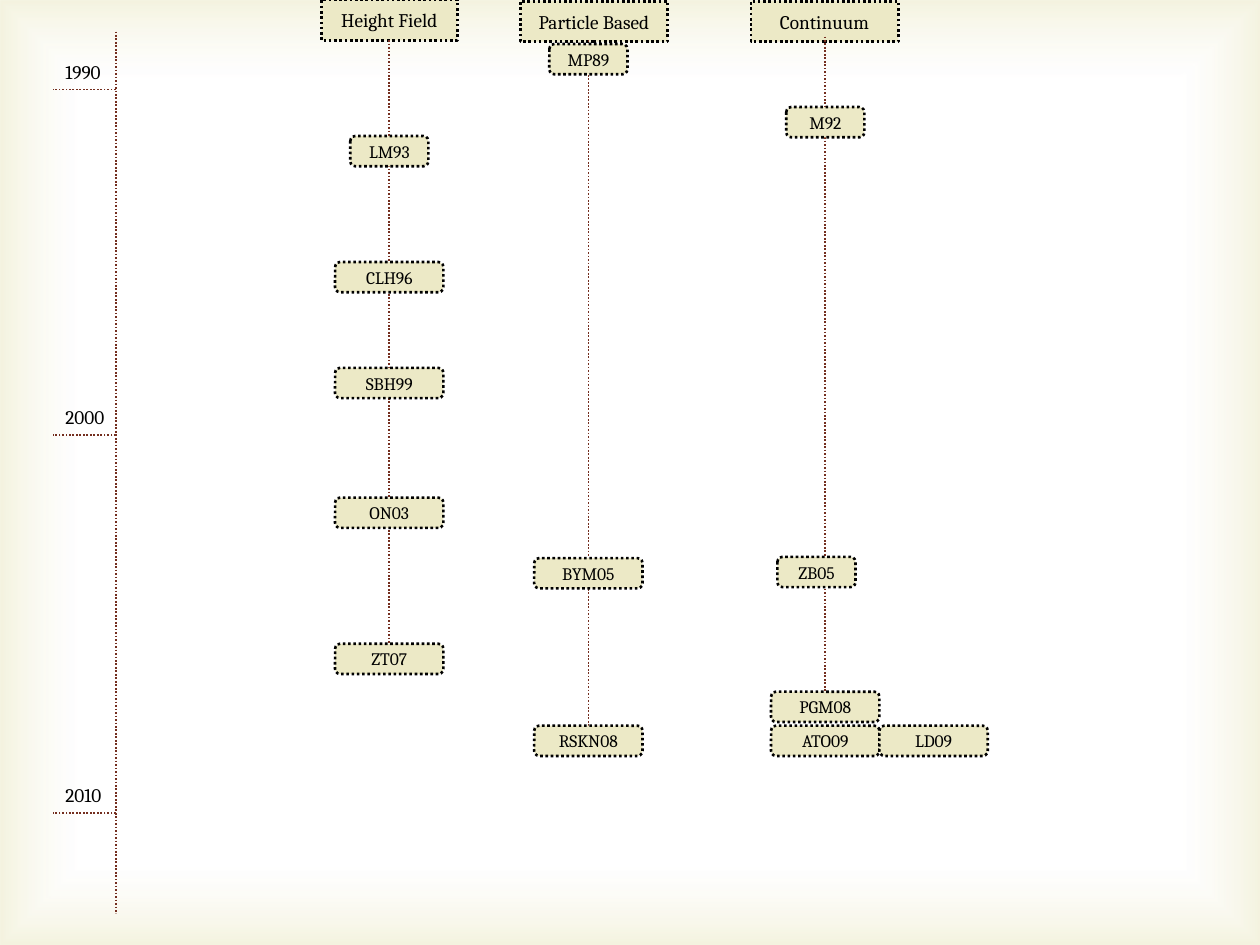
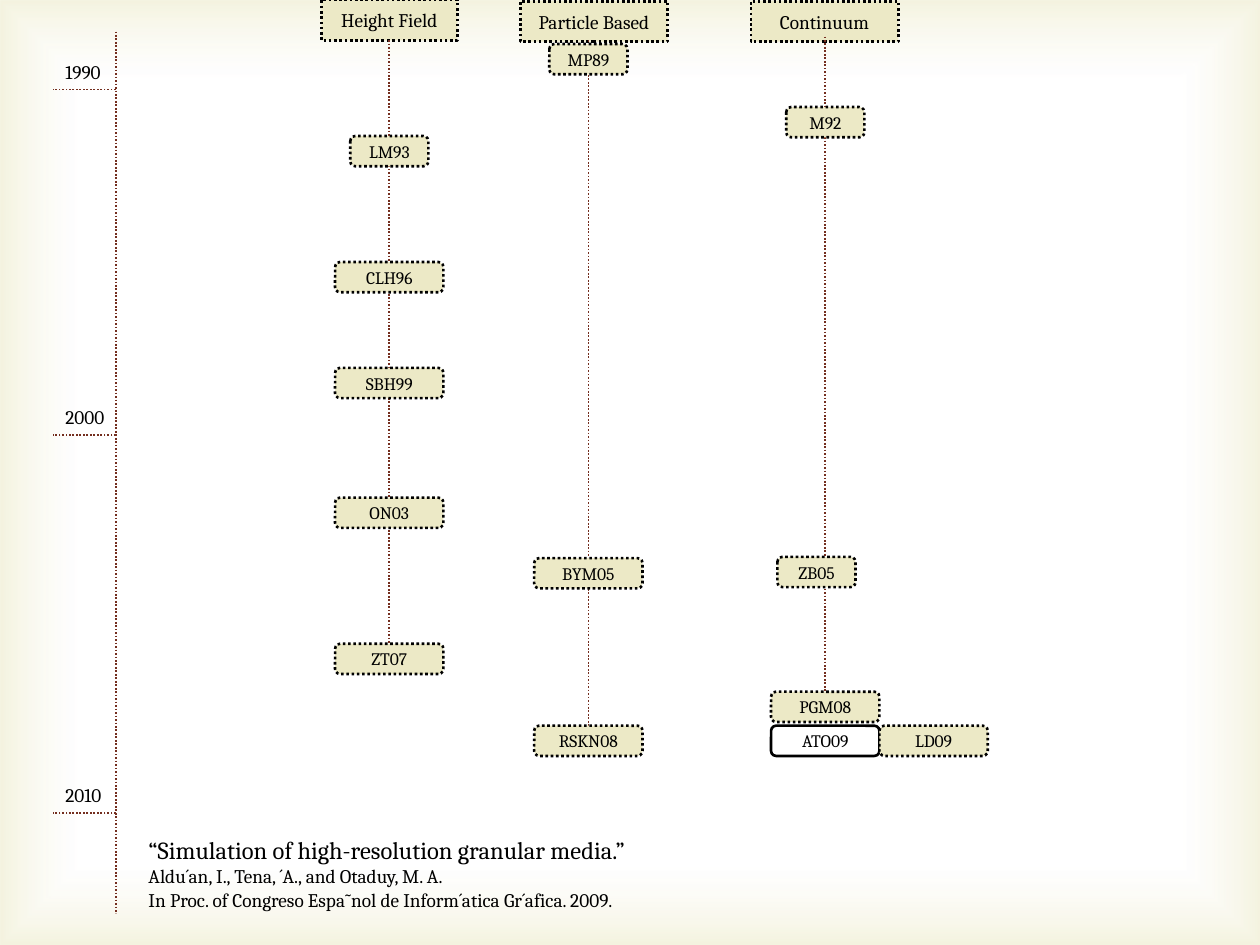
from collections import namedtuple

from pptx import Presentation
from pptx import util as u
from pptx.dml.color import RGBColor
from pptx.enum import dml, shapes, text
from pptx.oxml import parse_xml
from pptx.oxml import ns

# Shared look
BLACK = RGBColor(0x00, 0x00, 0x00)
WHITE = RGBColor(0xFF, 0xFF, 0xFF)
CREAM = RGBColor(0xEC, 0xE9, 0xC6)
BROWN = RGBColor(0x74, 0x2E, 0x1F)
GOLD = RGBColor(0xD1, 0xCA, 0x75)
FONT = "Cambria"
DOTTED = dml.MSO_LINE.ROUND_DOT
RECT = shapes.MSO_SHAPE.RECTANGLE
ROUND = shapes.MSO_SHAPE.ROUNDED_RECTANGLE

# Timeline measures, in inches
SLIDE_W, SLIDE_H = 10, 7.5
AXIS_X, AXIS_TOP, AXIS_END = 0.92, 0.25, 7.25
TICK_LEFT = 0.42
YEARS = {"1990": 0.71, "2010": 6.45, "2000": 3.45}
HEADER_H, PAPER_H = 0.32, 0.24
NARROW, WIDE = 0.62, 0.86
TOP_SIDE, BOTTOM_SIDE = 0, 2

# Each paper: label, top, width and shift of its centre from the column line
Paper = namedtuple("Paper", "label top width shift", defaults=(WIDE, 0))
# Each column: the line ends on the given side of the paper named last
Column = namedtuple("Column", "title left top width x line_top papers last side")

COLUMNS = [
    Column("Particle Based", 4.13, 0.01, 1.17, 4.67, 0.32, [
        Paper("MP89", 0.35, NARROW),
        Paper("BYM05", 4.43),
        Paper("RSKN08", 5.76),
    ], "RSKN08", TOP_SIDE),
    Column("Height Field", 2.55, 0, 1.08, 3.09, 0.32, [
        Paper("LM93", 1.08, NARROW),
        Paper("CLH96", 2.08),
        Paper("SBH99", 2.92),
        Paper("ON03", 3.95),
        Paper("ZT07", 5.11),
    ], "ZT07", TOP_SIDE),
    Column("Continuum", 5.96, 0.01, 1.17, 6.55, 0.29, [
        Paper("M92", 0.85, NARROW),
        Paper("ZB05", 4.42, NARROW, -0.07),
        Paper("ATO09", 5.76),
        Paper("PGM08", 5.49),
        Paper("LD09", 5.76, WIDE, WIDE),
    ], "PGM08", BOTTOM_SIDE),
]

CITATION = [
    ("“Simulation of high-resolution granular media.”", 14),
    ("Aldu´an, I., Tena, ´A., and Otaduy, M. A.", 11),
    ("In Proc. of Congreso Espa˜nol de Inform´atica Gr´afica. 2009.", 11),
]


def write(p, words, size=11, color=BLACK, align=None):
    r = p.add_run()
    r.text = words
    r.font.name, r.font.size = FONT, u.Pt(size)
    r.font.color.rgb = color
    p.alignment = align


def add_text(s, left, top, width, height, lines):
    """Text box with one paragraph for each (words, size) pair."""
    box = s.shapes.add_textbox(*map(u.Inches, (left, top, width, height)))
    tf = box.text_frame
    tf.word_wrap = True
    tf.auto_size = text.MSO_AUTO_SIZE.SHAPE_TO_FIT_TEXT
    for i, (words, size) in enumerate(lines):
        write(tf.add_paragraph() if i else tf.paragraphs[0], words, size=size)


def add_box(s, kind, left, top, width, height, words, size=10, fill=CREAM, dash=DOTTED):
    sp = s.shapes.add_shape(kind, *map(u.Inches, (left, top, width, height)))
    sp.shadow.inherit = False
    sp.fill.solid()
    sp.fill.fore_color.rgb = fill
    sp.line.color.rgb, sp.line.width = BLACK, u.Pt(1.5)
    sp.line.dash_style = dash
    tf = sp.text_frame
    tf.word_wrap = True
    tf.vertical_anchor = text.MSO_ANCHOR.MIDDLE
    write(tf.paragraphs[0], words, size=size, align=text.PP_ALIGN.CENTER)
    return sp


def add_line(s, x1, y1, x2, y2):
    line = s.shapes.add_connector(
        shapes.MSO_CONNECTOR.STRAIGHT, *map(u.Inches, (x1, y1, x2, y2)))
    line.line.color.rgb, line.line.width = BROWN, u.Pt(1)
    line.line.dash_style = DOTTED
    line.element.spPr.append(parse_xml(f"<a:effectLst {ns.nsdecls('a')}/>"))
    return line


def add_glow(prs, s):
    """Soft gold border, built on a slide and moved to the master."""
    sp = s.shapes.add_shape(RECT, 0, 0, prs.slide_width, prs.slide_height)
    sp.shadow.inherit = False
    sp.line.fill.background()
    sp.fill.background()
    stops = "".join(
        f'<a:gs pos="{pos}000"><a:srgbClr val="{color}"><a:alpha val="{alpha}000"/>'
        "</a:srgbClr></a:gs>"
        for pos, color, alpha in [(83, WHITE, 11), (100, GOLD, 23)])
    gradient = parse_xml(
        f"<a:gradFill {ns.nsdecls('a')}><a:gsLst>{stops}</a:gsLst>"
        '<a:path path="rect"><a:fillToRect l="50000" t="50000" r="50000" b="50000"/>'
        "</a:path></a:gradFill>")
    spPr = sp.element.spPr
    spPr.replace(spPr.find(ns.qn("a:noFill")), gradient)
    sp.element.xpath(".//p:cNvPr")[0].set("id", "99")
    prs.slide_master.shapes.element.insert(2, sp.element)


def add_axis(s):
    add_line(s, AXIS_X, AXIS_TOP, AXIS_X, AXIS_END)
    for year, y in YEARS.items():
        add_text(s, TICK_LEFT, y - 0.28, 0.58, 0.29, [(year, 11)])
        add_line(s, AXIS_X, y, TICK_LEFT, y)


def add_column(s, col, highlight):
    header = add_box(s, RECT, col.left, col.top, col.width, HEADER_H, col.title, size=11)
    line = add_line(s, col.x, col.line_top, col.x, AXIS_END)
    for paper in col.papers:
        look = {"fill": WHITE, "dash": None} if paper.label == highlight else {}
        left = col.x + paper.shift - paper.width / 2
        box = add_box(s, ROUND, left, paper.top, paper.width, PAPER_H, paper.label, **look)
        if paper.label == col.last:
            line.end_connect(box, col.side)
    # Join the header only where the line starts at the middle of its lower side
    gap_x = abs(col.left + col.width / 2 - col.x)
    gap_y = abs(col.top + HEADER_H - col.line_top)
    if max(gap_x, gap_y) < 0.01:
        line.begin_connect(header, BOTTOM_SIDE)


def add_timeline(prs, highlight=None):
    s = prs.slides.add_slide(prs.slide_layouts[6])
    add_axis(s)
    for col in COLUMNS:
        add_column(s, col, highlight)
    return s


def main():
    prs = Presentation()
    prs.slide_width, prs.slide_height = u.Inches(SLIDE_W), u.Inches(SLIDE_H)

    # Overview of all papers
    s = add_timeline(prs)
    add_glow(prs, s)

    # One paper picked out, with its citation
    s = add_timeline(prs, highlight="ATO09")
    add_text(s, 1.08, 6.58, 8.75, 0.71, CITATION)

    prs.save("out.pptx")


if __name__ == "__main__":
    main()
